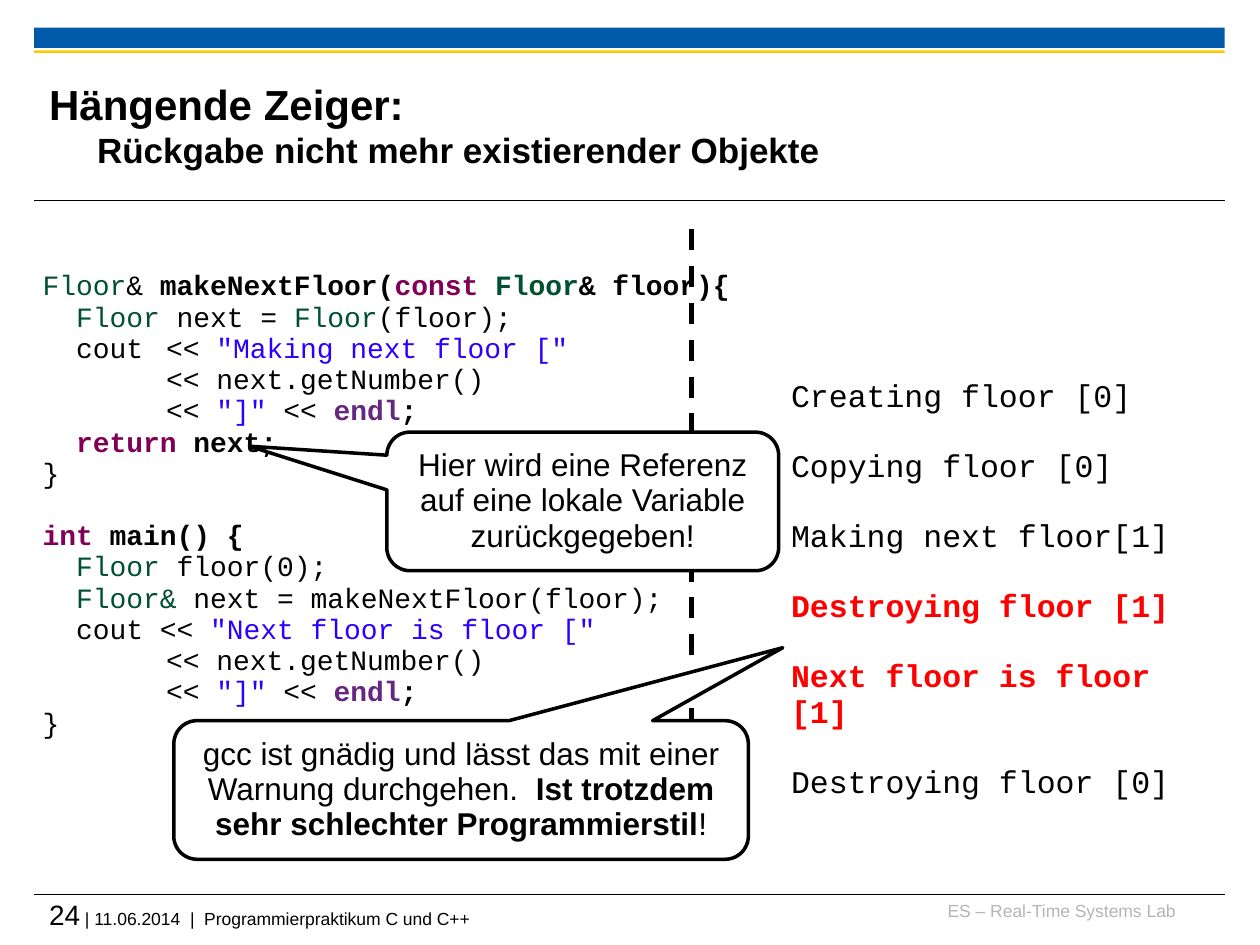
from lxml import etree
from pptx import Presentation
from pptx.dml.color import RGBColor
from pptx.enum.dml import MSO_LINE
from pptx.enum.shapes import MSO_CONNECTOR, MSO_SHAPE
from pptx.enum.text import MSO_ANCHOR, PP_ALIGN
from pptx.oxml.ns import qn
from pptx.util import Inches, Pt

LEFT, RIGHT, CENTER = PP_ALIGN.LEFT, PP_ALIGN.RIGHT, PP_ALIGN.CENTER
BAR, CALLOUT = MSO_SHAPE.RECTANGLE, MSO_SHAPE.ROUNDED_RECTANGULAR_CALLOUT

BLACK = RGBColor(0x00, 0x00, 0x00)
WHITE = RGBColor(0xFF, 0xFF, 0xFF)
BLUE = RGBColor(0x00, 0x5A, 0xA9)
YELLOW = RGBColor(0xFD, 0xCA, 0x00)
GREY = RGBColor(0xB5, 0xB5, 0xB5)
RED = RGBColor(0xFF, 0x00, 0x00)
TYPE = RGBColor(0x00, 0x50, 0x32)
KEYWORD = RGBColor(0x7F, 0x00, 0x55)
STRING = RGBColor(0x2A, 0x00, 0xFF)
STREAM = RGBColor(0x64, 0x28, 0x80)

SANS, MONO = "Arial", "Courier New"
TIGHT = 0.93
CODE_TAB = 0.98

# A run is (text, colour, bold); a line is a list of runs.
NEXT_NUMBER = [("\t<< next.getNumber()", BLACK, False)]
END_LINE = [("\t<< ", BLACK, False), ('"]"', STRING, False), (" << ", BLACK, False),
            ("endl", STREAM, True), (";", BLACK, True)]
CLOSE = [("}", BLACK, False)]

MAKE_NEXT_FLOOR = [
    [("Floor", TYPE, False), ("& ", BLACK, False), ("makeNextFloor(", BLACK, True),
     ("const ", KEYWORD, True), ("Floor", TYPE, True), ("& floor){", BLACK, True)],
    [("  Floor", TYPE, False), (" next = ", BLACK, False), ("Floor", TYPE, False),
     ("(floor);", BLACK, False)],
    [("  cout\t<< ", BLACK, False), ('"Making next floor ["', STRING, False)],
    NEXT_NUMBER,
    END_LINE,
    [("  return", KEYWORD, True), (" next;", BLACK, True)],
    CLOSE,
]
MAIN = [
    [("int", KEYWORD, True), (" main() {", BLACK, True)],
    [("  Floor", TYPE, False), (" floor(0);", BLACK, False)],
    [("  Floor&", TYPE, False), (" next = makeNextFloor(floor);", BLACK, False)],
    [("  cout << ", BLACK, False), ('"Next floor is floor ["', STRING, False)],
    NEXT_NUMBER,
    END_LINE,
    CLOSE,
]
OUTPUT = [
    [("Creating floor [0]", BLACK, False)],
    [("Copying floor [0]", BLACK, False)],
    [("Making next floor[1]", BLACK, False)],
    [("Destroying floor [1]", RED, True)],
    [("Next floor is floor [1]", RED, True)],
    [("Destroying floor [0]", BLACK, False)],
]
# (left, top, width, height), adjustments, runs
CALLOUTS = [
    ((1.38, 5.72, 4.56, 1.1), (0.56, -1.027, 0.167),
     [("gcc ist gnädig und lässt das mit einer Warnung durchgehen.  ", BLACK, False),
      ("Ist trotzdem sehr schlechter Programmierstil", BLACK, True),
      ("!", BLACK, False)]),
    ((3.07, 3.43, 3.11, 1.1), (-0.851, -0.398, 0.167),
     [("Hier wird eine Referenz auf eine lokale Variable zurückgegeben!", BLACK, False)]),
]
TITLE = ("Hängende Zeiger:", 24)
SUBTITLE = ("Rückgabe nicht mehr existierender Objekte", 20)
LAB = "ES – Real-Time Systems Lab"
PAGE = ("24", 16)
FOOTER = (" | 11.06.2014  |  Programmierpraktikum C und C++", 10)


def inches(box):
    return [Inches(value) for value in box]


def add_run(paragraph, text, size, font=SANS, color=BLACK, bold=False):
    run = paragraph.add_run()
    run.text = text
    run.font.name, run.font.size, run.font.bold = font, Pt(size), bold
    run.font.color.rgb = color


def add_lines(frame, lines, size, font, align=LEFT, gaps=None, tab=None):
    """Fill a frame; gaps maps a line's index to the points of space before it."""
    for index, runs in enumerate(lines):
        paragraph = frame.add_paragraph() if index else frame.paragraphs[0]
        paragraph.alignment, paragraph.line_spacing = align, TIGHT
        if gaps and index in gaps:
            paragraph.space_before = Pt(gaps[index])
        if tab:
            stops = etree.SubElement(paragraph._p.get_or_add_pPr(), qn("a:tabLst"))
            etree.SubElement(stops, qn("a:tab"), pos=str(Inches(tab)), algn="l")
        for text, color, bold in runs:
            add_run(paragraph, text, size, font, color, bold)


def add_text_box(slide, box, inset=True):
    frame = slide.shapes.add_textbox(*inches(box)).text_frame
    frame.word_wrap = True
    if not inset:
        clear_margins(frame)
    return frame


def clear_margins(frame):
    frame.margin_left = frame.margin_right = frame.margin_top = frame.margin_bottom = 0


def add_line(slide, ends, width, dash=None):
    line = slide.shapes.add_connector(MSO_CONNECTOR.STRAIGHT, *inches(ends))
    line.line.color.rgb, line.line.width = BLACK, Pt(width)
    if dash:
        line.line.dash_style = dash
    etree.SubElement(line._element.spPr, qn("a:effectLst"))


def add_filled(slide, kind, box, fill):
    shape = slide.shapes.add_shape(kind, *inches(box))
    shape.shadow.inherit = False
    shape.fill.solid()
    shape.fill.fore_color.rgb = fill
    shape.line.fill.background()
    return shape


def add_frame(slide):
    """Bars, rules and footer around the content."""
    add_filled(slide, BAR, (0.27, 0.22, 9.45, 0.16), BLUE)
    add_filled(slide, BAR, (0.27, 0.4, 9.45, 0.02), YELLOW)
    for y in (1.59, 7.1):
        add_line(slide, (0.27, y, 9.72, y), 0.6)
    lab = add_text_box(slide, (7.36, 7.14, 1.97, 0.25), inset=False).paragraphs[0]
    lab.alignment = RIGHT
    add_run(lab, LAB, 10, color=GREY)
    footer = add_text_box(slide, (0.39, 7.12, 9.33, 0.33), inset=False).paragraphs[0]
    for text, size in (PAGE, FOOTER):
        add_run(footer, text, size)


def set_title(slide):
    title = slide.shapes.title
    title.left, title.top, title.width, title.height = inches((0.39, 0.53, 7.52, 0.92))
    frame = title.text_frame
    frame.vertical_anchor, frame.word_wrap = MSO_ANCHOR.MIDDLE, True
    clear_margins(frame)
    heading = frame.paragraphs[0]
    heading.alignment = LEFT
    indent = heading._p.get_or_add_pPr()
    indent.set("marL", str(Inches(0.38)))
    indent.set("indent", str(Inches(-0.38)))
    add_run(heading, *TITLE, bold=True)
    heading.add_line_break()
    add_run(heading, *SUBTITLE, bold=True)


def add_callout(slide, box, adjustments, runs):
    callout = add_filled(slide, CALLOUT, box, WHITE)
    for index, value in enumerate(adjustments):
        callout.adjustments[index] = value
    callout.line.color.rgb, callout.line.width = BLACK, Pt(2)
    frame = callout.text_frame
    frame.vertical_anchor, frame.word_wrap = MSO_ANCHOR.MIDDLE, True
    add_lines(frame, [runs], 18, SANS, CENTER)


def main():
    prs = Presentation()
    prs.slide_width, prs.slide_height = Inches(10), Inches(7.5)
    slide = prs.slides.add_slide(prs.slide_layouts[5])
    add_frame(slide)
    set_title(slide)
    add_line(slide, (5.49, 1.82, 5.49, 6.74), 3, MSO_LINE.DASH)
    add_lines(add_text_box(slide, (0.24, 2.1, 9.73, 3.86)), MAKE_NEXT_FLOOR + MAIN,
              16, MONO, gaps={len(MAKE_NEXT_FLOOR): 17.8}, tab=CODE_TAB)
    add_lines(add_text_box(slide, (6.18, 2.96, 3.55, 3.2)), OUTPUT,
              18, MONO, gaps={index: 20 for index in range(1, len(OUTPUT))})
    for callout in CALLOUTS:
        add_callout(slide, *callout)
    prs.save("out.pptx")


if __name__ == "__main__":
    main()
